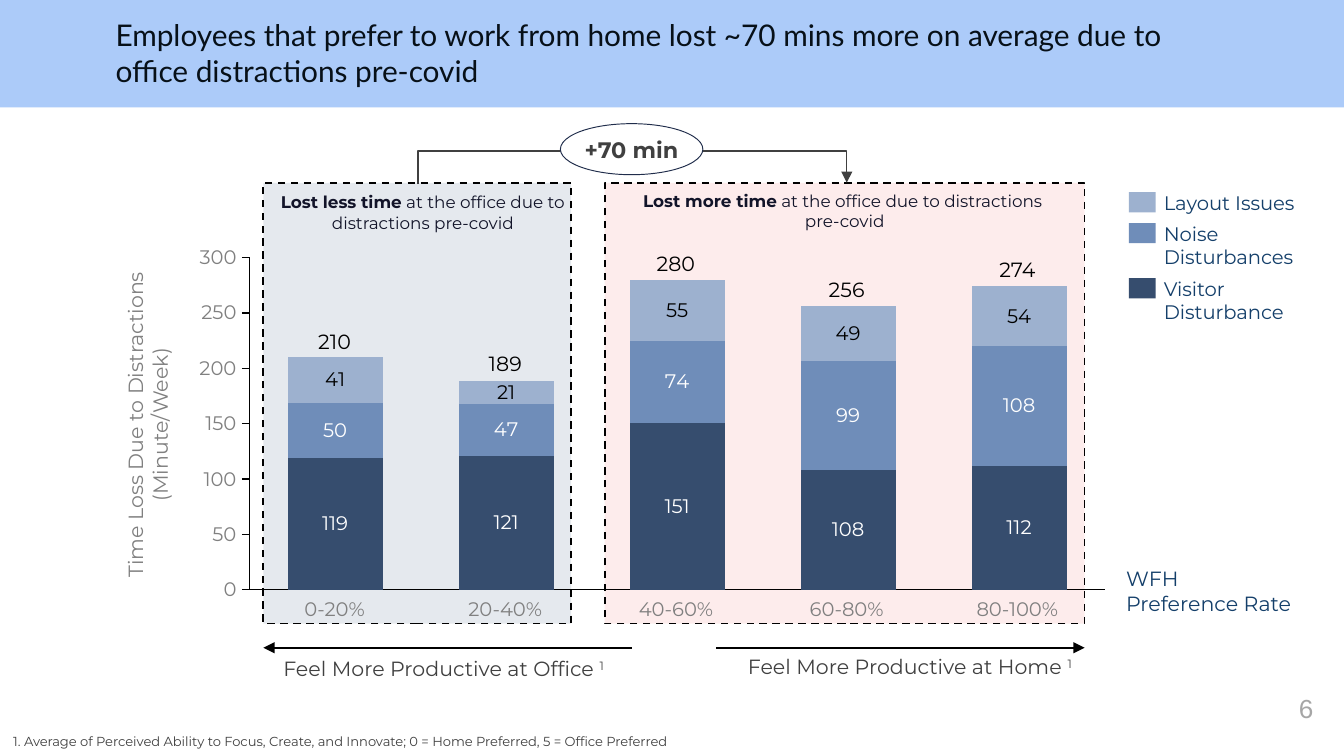
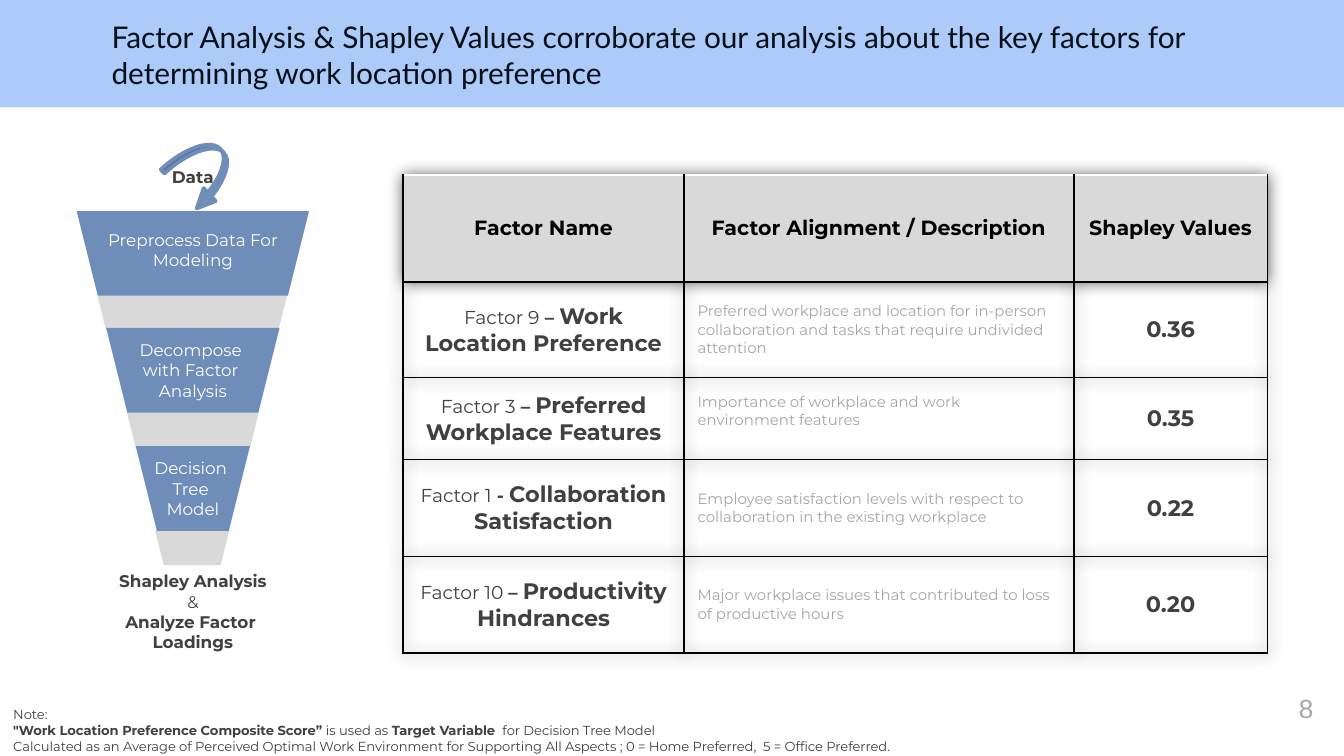
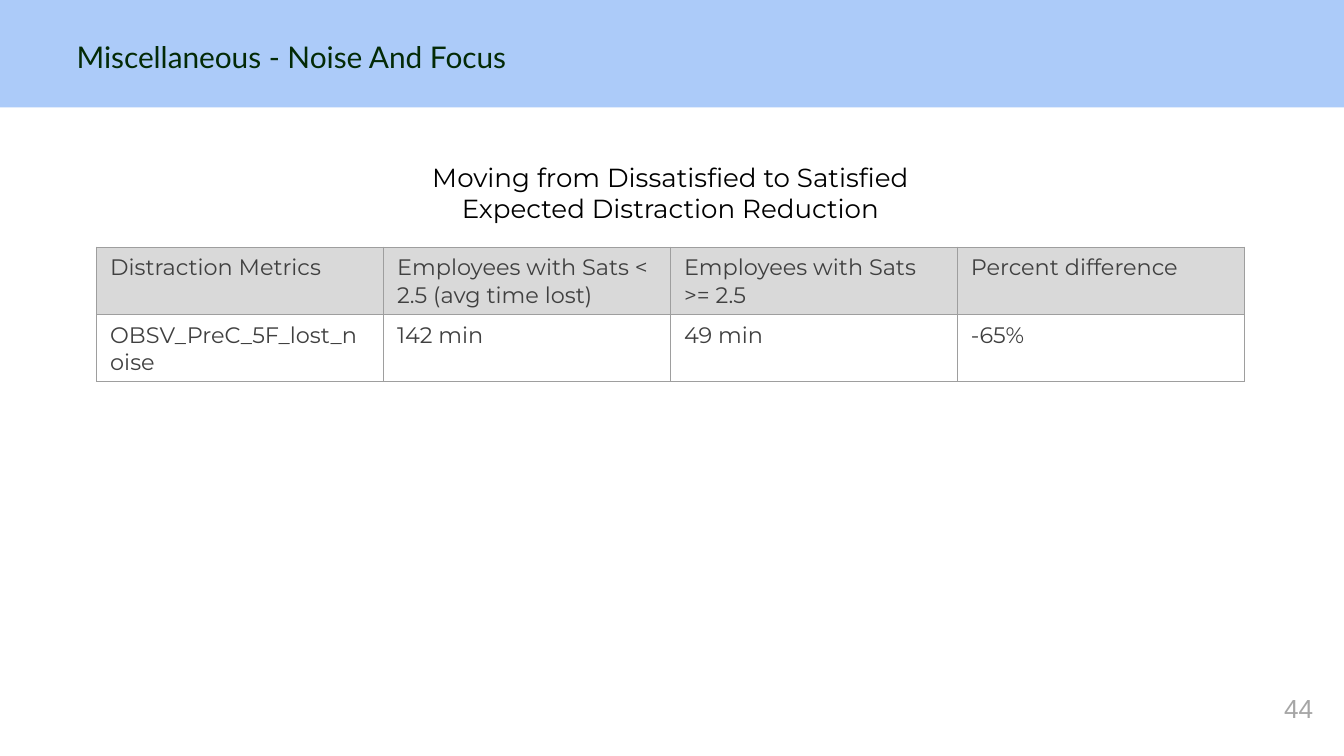
import pptx
import pptx.chart.data
import pptx.dml.color
import pptx.enum.chart
import pptx.enum.dml
import pptx.enum.shapes
import pptx.enum.text
import pptx.oxml
import pptx.oxml.ns
import pptx.util
from lxml import etree

SCALE = 9144
COLORS = {
    "band": "ACCBF9", "title": "071018", "green": "032A06", "number": "A6A6A6",
    "text": "404040", "ink": "121429", "axis": "808080", "label": "143F6A",
    "black": "000000", "white": "FFFFFF", "gray": "D9D9D9", "grid": "9E9E9E",
    "navy": "364D6E", "blue": "6F8DB9", "light": "9DB1CF",
    "office": "E5E9EE", "home": "FDDBDB", "outline": "202D4B",
}
RGB = {name: pptx.dml.color.RGBColor.from_string(code) for name, code in COLORS.items()}
SHAPE = pptx.enum.shapes.MSO_SHAPE
CONNECTOR = pptx.enum.shapes.MSO_CONNECTOR
ALIGN = pptx.enum.text.PP_ALIGN
ANCHOR = pptx.enum.text.MSO_ANCHOR
Pt = pptx.util.Pt
qn = pptx.oxml.ns.qn
NAMESPACES = pptx.oxml.ns.nsdecls("a", "c")


def add_box(page, kind, area, fill=None, line=None, weight=1):
    area = [value * SCALE for value in area]
    if kind is None:
        return page.shapes.add_textbox(*area)
    box = page.shapes.add_shape(kind, *area)
    box.shadow.inherit = False
    box.fill.solid()
    box.fill.fore_color.rgb = RGB[fill]
    if line:
        box.line.color.rgb = RGB[line]
        box.line.width = Pt(weight)
    else:
        box.line.fill.background()
    return box


def write(frame, text, size, color, align=ALIGN.LEFT, bold=False, font="Montserrat",
          anchor=None, inset=None, wrap=True):
    frame.word_wrap = wrap
    if anchor is not None:
        frame.vertical_anchor = anchor
    if inset is not None:
        frame.margin_left = frame.margin_right = inset * SCALE
        frame.margin_top = frame.margin_bottom = inset * SCALE
    frame.text = text
    for para in frame.paragraphs:
        para.alignment = align
        parts = para.text.split("**")
        para.clear()
        for index, part in enumerate(parts):
            for line_index, line in enumerate(part.split("\v")):
                if line_index:
                    para.add_line_break()
                if line:
                    span = para.add_run()
                    span.text = line
                    span.font.name = font
                    span.font.size = Pt(size)
                    span.font.bold = bold or index % 2 == 1
                    span.font.color.rgb = RGB[color]


deck = pptx.Presentation()
deck.slide_width = 1000 * SCALE
deck.slide_height = deck.slide_width * 9 // 16

titles = [
    ("Employees that prefer to work from home lost ~70 mins more on average due to office distractions pre-covid",
     "6", (76, 4, 822, 70), "title", ANCHOR.MIDDLE),
    ("Factor Analysis & Shapley Values corroborate our analysis about the key factors for determining work location preference",
     "8", (73, 4, 824, 72), "title", ANCHOR.TOP),
    ("Miscellaneous - Noise And Focus",
     "44", (47, 19, 920, 47), "green", ANCHOR.TOP),
]
pages = []
for title, number, area, color, anchor in titles:
    page = deck.slides.add_slide(deck.slide_layouts[5])
    heading = page.shapes.title
    heading.left, heading.top, heading.width, heading.height = [value * SCALE for value in area]
    write(heading.text_frame, title, 16, color, font="Lato", anchor=anchor, inset=10)
    heading.text_frame.auto_size = pptx.enum.text.MSO_AUTO_SIZE.NONE
    number_box = add_box(page, None, (927, 510, 60, 43))
    write(number_box.text_frame, number, 14, "number", ALIGN.RIGHT, font="Arial")
    pages.append(page)
distraction_page, factor_page, noise_page = pages

band = add_box(distraction_page, SHAPE.RECTANGLE, (0, 0, 1000, 80), "band")
band.element.nvSpPr.cNvPr.id = 99
deck.slide_master.shapes.element.insert(2, band.element)

page = distraction_page
zones = [
    ((196, 136, 229, 328), "office", (194, 138, 241, 40),
     "**Lost less time** at the office due to distractions pre-covid"),
    ((450, 136, 357, 328), "home", (450, 137, 357, 40),
     "**Lost more time** at the office due to distractions \vpre-covid"),
]
for area, fill, caption_area, caption in zones:
    zone = add_box(page, SHAPE.RECTANGLE, area, fill, "black")
    zone.line.dash_style = pptx.enum.dml.MSO_LINE.DASH
    if fill == "home":
        tint = zone.element.spPr.find(qn("a:solidFill"))[0]
        etree.SubElement(tint, qn("a:alpha"), val="50000")
    write(add_box(page, None, caption_area).text_frame, caption, 9, "ink", ALIGN.CENTER)

arrows = [
    (CONNECTOR.STRAIGHT, (470, 482, 196, 482), "black", 1),
    (CONNECTOR.STRAIGHT, (533, 482, 807, 482), "black", 1),
    (CONNECTOR.ELBOW, (470, -23, 471, 296), "text", 0.75),
]
for kind, ends, color, weight in arrows:
    arrow = page.shapes.add_connector(kind, *[value * SCALE for value in ends])
    arrow.line.color.rgb = RGB[color]
    arrow.line.width = Pt(weight)
    properties = arrow.element.spPr
    etree.SubElement(properties.find(qn("a:ln")), qn("a:tailEnd"), type="triangle")
    etree.SubElement(properties, qn("a:effectLst"))
    if kind == CONNECTOR.ELBOW:
        for name, value in (("rot", "5400000"), ("flipH", "1"), ("flipV", "1")):
            properties.find(qn("a:xfrm")).set(name, value)
        geometry = properties.find(qn("a:prstGeom"))
        for old in geometry.findall(qn("a:avLst")):
            geometry.remove(old)
        guides = etree.SubElement(geometry, qn("a:avLst"))
        etree.SubElement(guides, qn("a:gd"), name="adj1", fmla="val 2500000")

gap_badge = add_box(page, SHAPE.OVAL, (417, 92, 106, 38), "white", "outline", 0.5)
write(gap_badge.text_frame, "+70 min", 12, "text", ALIGN.CENTER, True, anchor=ANCHOR.MIDDLE, inset=0)

series_data = [
    ("Series 1", (119, 121, 151, 108, 112), "navy", "white"),
    ("Series 2", (50, 47, 74, 99, 108), "blue", "white"),
    ("Series 3", (41, 21, 55, 49, 54), "light", "black"),
]
chart_data = pptx.chart.data.CategoryChartData()
chart_data.categories = ["1", "2", "3", "4", "5"]
for name, values, fill, label_color in series_data:
    chart_data.add_series(name, values)
chart = page.shapes.add_chart(
    pptx.enum.chart.XL_CHART_TYPE.COLUMN_STACKED,
    132 * SCALE, 165 * SCALE, 699 * SCALE, 301 * SCALE, chart_data).chart
chart.has_legend = False
chart.has_title = False
chart.font.name = "Montserrat"
chart.font.size = Pt(10.5)
chart.font.color.rgb = RGB["black"]
plot = chart.plots[0]
plot.gap_width = 80
plot.overlap = 100
plot.vary_by_categories = False
for series, (name, values, fill, label_color) in zip(plot.series, series_data):
    series.format.fill.solid()
    series.format.fill.fore_color.rgb = RGB[fill]
    labels = series.data_labels
    labels.show_value = True
    labels.font.name = "Montserrat"
    labels.font.size = Pt(10.5)
    labels.font.color.rgb = RGB[label_color]

TICK = pptx.enum.chart.XL_TICK_MARK
for axis, tick in ((chart.category_axis, TICK.NONE), (chart.value_axis, TICK.OUTSIDE)):
    axis.major_tick_mark = tick
    axis.minor_tick_mark = TICK.NONE
    axis.has_major_gridlines = False
    axis.format.line.color.rgb = RGB["black"]
    axis.format.line.width = Pt(0.75)
chart.category_axis.tick_label_position = pptx.enum.chart.XL_TICK_LABEL_POSITION.NONE
value_axis = chart.value_axis
value_axis.minimum_scale = 0
value_axis.maximum_scale = 300
value_axis.major_unit = 50
value_axis.tick_labels.number_format = '#,##0;"-"#,##0'
value_axis.tick_labels.number_format_is_linked = False
value_axis.tick_labels.font.name = "Montserrat"
value_axis.tick_labels.font.size = Pt(10.5)
value_axis.tick_labels.font.color.rgb = RGB["axis"]

chart_element = chart._chartSpace.chart
chart_element.addnext(pptx.oxml.parse_xml(
    f"<c:spPr {NAMESPACES}><a:noFill/><a:ln><a:noFill/></a:ln></c:spPr>"))
plot_area = chart_element.find(qn("c:plotArea"))
for old in plot_area.findall(qn("c:layout")):
    plot_area.remove(old)
plot_area.insert(0, pptx.oxml.parse_xml(
    f'<c:layout {NAMESPACES}><c:manualLayout><c:layoutTarget val="inner"/>'
    '<c:xMode val="edge"/><c:yMode val="edge"/><c:x val="0.077"/><c:y val="0.089"/>'
    '<c:w val="0.91"/><c:h val="0.821"/></c:manualLayout></c:layout>'))

ranges = ["0-20%", "20-40%", "40-60%", "60-80%", "80-100%"]
for index, label in enumerate(ranges):
    left = 209 + 127 * index
    total = sum(values[index] for name, values, fill, label_color in series_data)
    write(add_box(page, None, (left, 444, 80, 18)).text_frame, label, 10.5, "axis",
          ALIGN.CENTER, inset=0)
    total_box = add_box(page, None, (left, 419 - total * 247 // 300, 80, 16))
    write(total_box.text_frame, str(total), 11, "black", ALIGN.CENTER,
          anchor=ANCHOR.BOTTOM, inset=0)
    total_box.text_frame.paragraphs[0].line_spacing = 0.9

legend = [
    ("Layout Issues", "light", 143, 18),
    ("Noise \vDisturbances", "blue", 166, 35),
    ("Visitor \vDisturbance", "navy", 207, 35),
]
for label, fill, top, height in legend:
    add_box(page, SHAPE.RECTANGLE, (840, top, 20, 15), fill)
    write(add_box(page, None, (866, top - 1, 120, height)).text_frame, label, 10.5, "label",
          anchor=ANCHOR.MIDDLE, inset=0)

write(add_box(page, None, (838, 421, 140, 37)).text_frame, "WFH \vPreference Rate", 11, "label",
      anchor=ANCHOR.MIDDLE, inset=0)
axis_title = add_box(page, None, (91, 202, 37, 228))
write(axis_title.text_frame, "Time Loss Due to Distractions\n(Minute/Week)", 11, "axis",
      ALIGN.CENTER, anchor=ANCHOR.BOTTOM, inset=0, wrap=False)
axis_title.element.txBody.find(qn("a:bodyPr")).set("vert", "vert270")

directions = [
    ("Feel More Productive at Office **1", (201, 483, 262, 29), ALIGN.LEFT),
    ("Feel More Productive at Home **1", (544, 482, 266, 29), ALIGN.CENTER),
]
for text, area, align in directions:
    direction = add_box(page, None, area)
    write(direction.text_frame, text, 11, "text", align)
    mark = direction.text_frame.paragraphs[0].runs[-1]
    mark.font.bold = False
    mark.font._element.set("baseline", "30000")
write(add_box(page, None, (0, 541, 941, 22)).text_frame,
      "1. Average of Perceived Ability to Focus, Create, and Innovate; 0 = Home Preferred, 5 = Office Preferred",
      7, "text")

page = factor_page
headers = ["Factor Name", "Factor Alignment / Description", "Shapley Values "]
factors = [
    ("Factor 9** – ", "Work Location Preference",
     "Preferred workplace and location for in-person collaboration and tasks that require undivided attention", "0.36"),
    ("Factor 3** – ", "Preferred Workplace Features",
     "Importance of workplace and work environment features", "0.35"),
    ("Factor 1** - ", "Collaboration Satisfaction",
     "Employee satisfaction levels with respect to collaboration in the existing workplace", "0.22"),
    ("Factor 10 **– ", "Productivity Hindrances",
     "Major workplace issues that contributed to loss of productive hours", "0.20"),
]
factor_table = page.shapes.add_table(
    5, 3, 300 * SCALE, 130 * SCALE, 643 * SCALE, 356 * SCALE).table
for column, width in zip(factor_table.columns, (209, 290, 144)):
    column.width = width * SCALE
for row, height in zip(factor_table.rows, (80, 71, 61, 72, 72)):
    row.height = height * SCALE
for cell in factor_table.iter_cells():
    cell.vertical_anchor = ANCHOR.MIDDLE
for cell, header in zip(factor_table.rows[0].cells, headers):
    write(cell.text_frame, header, 11, "black", ALIGN.CENTER, True)
for row_index, (label, name, description, value) in enumerate(factors, 1):
    name_cell, description_cell, value_cell = factor_table.rows[row_index].cells
    write(name_cell.text_frame, label, 10, "text", ALIGN.CENTER)
    span = name_cell.text_frame.paragraphs[0].add_run()
    span.text = name
    span.font.name = "Montserrat"
    span.font.size = Pt(12)
    span.font.bold = True
    span.font.color.rgb = RGB["text"]
    write(description_cell.text_frame, description, 8, "number")
    write(value_cell.text_frame, value, 12, "text", ALIGN.CENTER, True)
factor_table.cell(2, 1).margin_bottom = 16 * SCALE
factor_table._tbl.tblPr.insert(0, pptx.oxml.parse_xml(
    f'<a:effectLst {NAMESPACES}><a:outerShdw blurRad="101600" dist="0" algn="ctr" rotWithShape="0">'
    '<a:srgbClr val="000000"><a:alpha val="60000"/></a:srgbClr></a:outerShdw></a:effectLst>'))

write(add_box(page, None, (0, 521, 909, 45)).text_frame,
      "Note: \v**\"Work Location Preference Composite Score” **is used as **Target Variable  **for Decision Tree Model\v"
      "Calculated as an Average of Perceived Optimal Work Environment for Supporting All Aspects ; "
      "0 = Home Preferred,  5 = Office Preferred.", 7, "text")

for index in range(3):
    top = 157 + 175 * index // 2
    step_width = 173 - 44 * index
    gap_width = 140 - 43 * index
    gap = add_box(page, SHAPE.TRAPEZOID, ((287 - gap_width) // 2, top + 63, gap_width, 25),
                  "gray", "gray", 0.75)
    step = add_box(page, SHAPE.TRAPEZOID, ((287 - step_width) // 2, top, step_width, 63), "blue")
    gap.rotation = step.rotation = 180

funnel_texts = [
    ("Preprocess Data For Modeling", (60, 166, 167, 40), "white"),
    ("Decompose \nwith Factor \nAnalysis", (72, 248, 143, 55), "white"),
    ("Decision \nTree \nModel", (79, 336, 129, 56), "white"),
    ("**Shapley Analysis**\n&\n**Analyze Factor **\n**Loadings**", (78, 420, 131, 71), "text"),
    ("**Data**", (60, 119, 167, 25), "text"),
]
for text, area, color in funnel_texts:
    write(add_box(page, None, area).text_frame, text, 9, color, ALIGN.CENTER)
data_arrow = add_box(page, SHAPE.CURVED_DOWN_ARROW, (128, 107, 46, 43), "blue", "blue", 2)
data_arrow.rotation = 47.3
for index, value in enumerate((0.094, 0.305, 0.327)):
    data_arrow.adjustments[index] = value

page = noise_page
noise_rows = [
    ("Distraction Metrics", "Employees with Sats < 2.5 (avg time lost)", "Employees with Sats >= 2.5", "Percent difference"),
    ("OBSV_PreC_5F_lost_noise", "142 min", "49 min", "-65%"),
]
noise_table = page.shapes.add_table(
    2, 4, 72 * SCALE, 184 * SCALE, 854 * SCALE, 100 * SCALE).table
for row, texts in zip(noise_table.rows, noise_rows):
    for cell, text in zip(row.cells, texts):
        write(cell.text_frame, text, 12, "text")
write(add_box(page, None, (260, 115, 478, 57)).text_frame,
      "Moving from Dissatisfied to Satisfied\nExpected Distraction Reduction", 14, "black", ALIGN.CENTER)

for table, color, weight, top_line in ((factor_table, "black", 1, False), (noise_table, "grid", 0.75, True)):
    table.first_row = False
    table.horz_banding = False
    for row_index, row in enumerate(table.rows):
        for cell in row.cells:
            if row_index == 0:
                cell.fill.solid()
                cell.fill.fore_color.rgb = RGB["gray"]
            else:
                cell.fill.background()
            sides = ["lnL", "lnR", "lnT", "lnB"]
            if row_index == 0 and not top_line:
                sides.remove("lnT")
            for position, side in enumerate(sides):
                cell._tc.get_or_add_tcPr().insert(position, pptx.oxml.parse_xml(
                    f'<a:{side} {NAMESPACES} w="{int(Pt(weight))}"><a:solidFill>'
                    f'<a:srgbClr val="{COLORS[color]}"/></a:solidFill></a:{side}>'))

deck.save("out.pptx")
